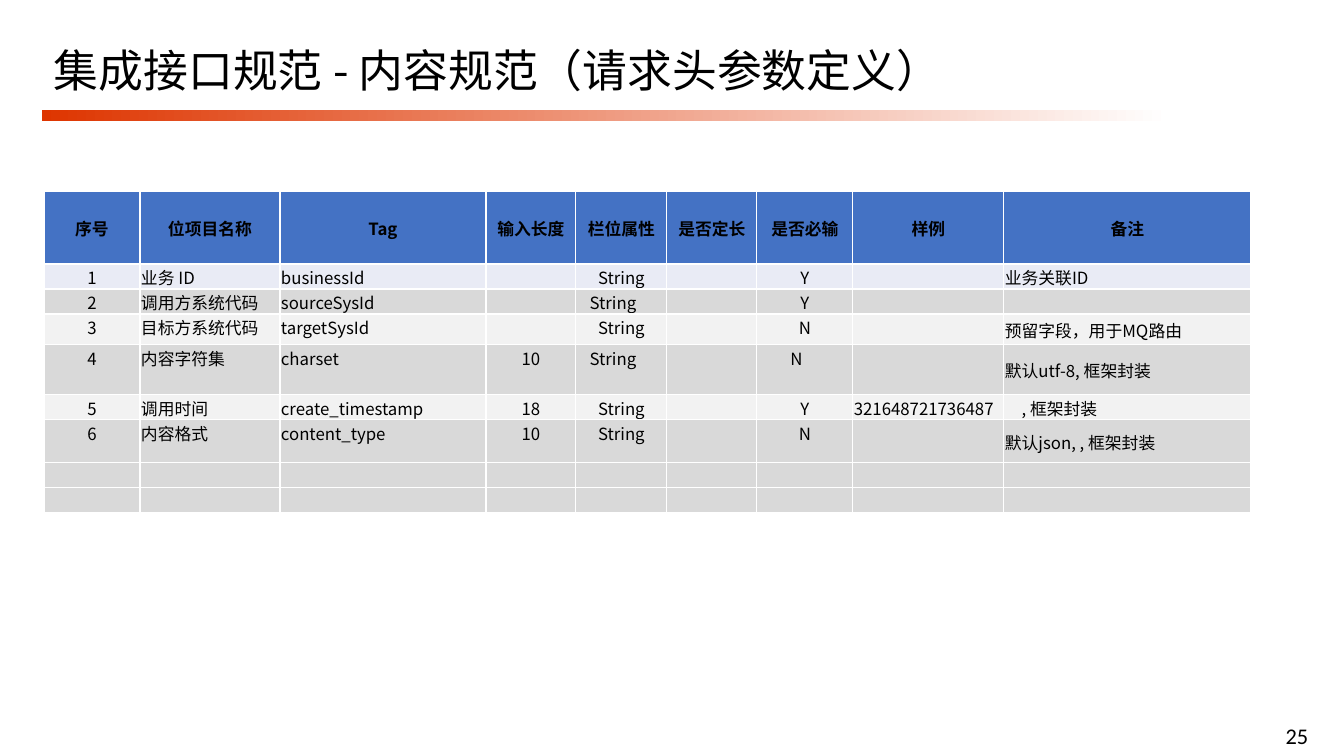
from dataclasses import dataclass

from lxml.etree import SubElement
from pptx import Presentation
from pptx.dml.color import RGBColor
from pptx.enum.shapes import MSO_SHAPE
from pptx.enum.text import MSO_ANCHOR, PP_ALIGN
from pptx.oxml.ns import qn
from pptx.slide import Slide
from pptx.table import _Cell
from pptx.text.text import TextFrame
from pptx.util import Emu, Pt

EMU_PER_PX = 914400 / 100.8
CJK_FONT = "Noto Sans CJK SC"
BLACK = "000000"
WHITE = "FFFFFF"
HEADER_FILL = "4472C4"
FIRST_FILL = "E9EBF5"
GREY_FILL = "D9D9D9"
LIGHT_FILL = "F2F2F2"


@dataclass
class Column:
    heading: str
    width: int
    align: PP_ALIGN
    anchor: MSO_ANCHOR = MSO_ANCHOR.TOP


@dataclass
class Row:
    height: int
    fill: str
    values: tuple[str, ...] = ("",) * 9


@dataclass
class Label:
    text: str
    box: tuple[int, int, int, int]
    size: int
    font: str
    align: PP_ALIGN
    line_spacing: float


COLUMNS = [
    Column("序号", 96, PP_ALIGN.CENTER),
    Column("位项目名称", 140, PP_ALIGN.JUSTIFY),
    Column("Tag", 206, PP_ALIGN.JUSTIFY),
    Column("输入长度", 90, PP_ALIGN.CENTER),
    Column("栏位属性", 91, PP_ALIGN.CENTER),
    Column("是否定长", 90, PP_ALIGN.CENTER),
    Column("是否必输", 96, PP_ALIGN.CENTER),
    Column("样例", 151, PP_ALIGN.JUSTIFY),
    Column("备注", 247, PP_ALIGN.LEFT, MSO_ANCHOR.MIDDLE),
]

PARAMETERS = [
    Row(25, FIRST_FILL, ("1", "业务 ID", "businessId", "", "String", "", "Y", "", "业务关联ID")),
    Row(25, GREY_FILL, ("2", "调用方系统代码", "sourceSysId", "", "String　", "", "Y", "", "")),
    Row(31, LIGHT_FILL, ("3", "目标方系统代码", "targetSysId", "", "String", "", "N", "", "预留字段，用于MQ路由")),
    Row(50, GREY_FILL, ("4", "内容字符集", "charset", "10", "String　", "", "N　", "", "默认utf-8, 框架封装")),
    Row(25, LIGHT_FILL, ("5", "调用时间", "create_timestamp", "18", "String", "", "Y", "321648721736487", "　, 框架封装")),
    Row(43, GREY_FILL, ("6", "内容格式", "content_type", "10", "String", "", "N", "", "默认json, , 框架封装")),
    Row(25, GREY_FILL),
    Row(25, GREY_FILL),
]

LABELS = [
    Label("25", (1250, 717, 94, 37), 16, "Calibri", PP_ALIGN.CENTER, 1.0),
    Label("集成接口规范 - 内容规范（请求头参数定义）", (44, 31, 956, 85), 32, CJK_FONT, PP_ALIGN.LEFT, 0.9),
]


def px(length: int) -> Emu:
    return Emu(round(length * EMU_PER_PX))


def color(value: str) -> RGBColor:
    return RGBColor.from_string(value)


def write(frame: TextFrame, text: str, size: int, font: str, align: PP_ALIGN, bold: bool = False) -> None:
    paragraph = frame.paragraphs[0]
    paragraph.text = text
    paragraph.alignment = align
    for run in paragraph.runs:
        run.font.size = Pt(size)
        run.font.name = font
        run.font.bold = bold
        run.font.color.rgb = color(BLACK)
        SubElement(run.font._element, qn("a:ea"), typeface=font)
    if not text:
        SubElement(paragraph._p, qn("a:endParaRPr"), sz=str(size * 100))


def add_label(slide: Slide, label: Label) -> None:
    frame = slide.shapes.add_textbox(*map(px, label.box)).text_frame
    frame.word_wrap = True
    frame.vertical_anchor = MSO_ANCHOR.MIDDLE
    write(frame, label.text, label.size, label.font, label.align)
    frame.paragraphs[0].line_spacing = label.line_spacing


def add_title_bar(slide: Slide) -> None:
    bar = slide.shapes.add_shape(MSO_SHAPE.RECTANGLE, px(42), px(110), px(1128), px(11))
    bar.shadow.inherit = False
    bar.line.fill.background()
    bar.fill.gradient()
    bar.fill.gradient_angle = 0
    for stop, shade in zip(bar.fill.gradient_stops, ("DE3500", WHITE)):
        stop.color.rgb = color(shade)


def style_cell(cell: _Cell, fill: str, anchor: MSO_ANCHOR) -> None:
    cell.margin_left = cell.margin_right = cell.margin_top = px(1)
    cell.margin_bottom = 0
    cell.vertical_anchor = anchor
    properties = cell._tc.get_or_add_tcPr()
    for side in ("lnL", "lnR", "lnT", "lnB"):
        border = SubElement(properties, qn(f"a:{side}"), w=str(Pt(1)))
        border_fill = SubElement(border, qn("a:solidFill"))
        SubElement(border_fill, qn("a:srgbClr"), val=WHITE)
    cell.fill.solid()
    cell.fill.fore_color.rgb = color(fill)


def add_parameter_table(slide: Slide) -> None:
    header = Row(73, HEADER_FILL, tuple(column.heading for column in COLUMNS))
    rows = [header, *PARAMETERS]
    width = sum(column.width for column in COLUMNS)
    height = sum(row.height for row in rows)
    table = slide.shapes.add_table(len(rows), len(COLUMNS), px(44), px(191), px(width), px(height)).table
    table.first_row = False
    table.horz_banding = False
    for table_column, column in zip(table.columns, COLUMNS):
        table_column.width = px(column.width)
    for row_index, row in enumerate(rows):
        table.rows[row_index].height = px(row.height)
        is_header = row is header
        for column_index, (column, value) in enumerate(zip(COLUMNS, row.values)):
            cell = table.cell(row_index, column_index)
            style_cell(cell, row.fill, MSO_ANCHOR.MIDDLE if is_header else column.anchor)
            align = PP_ALIGN.CENTER if is_header else column.align
            write(cell.text_frame, value, 12, CJK_FONT, align, is_header)


def main() -> None:
    presentation = Presentation()
    presentation.slide_width = px(1344)
    presentation.slide_height = px(756)
    slide = presentation.slides.add_slide(presentation.slide_layouts[6])
    add_title_bar(slide)
    for label in LABELS:
        add_label(slide, label)
    add_parameter_table(slide)
    presentation.save("out.pptx")


if __name__ == "__main__":
    main()
